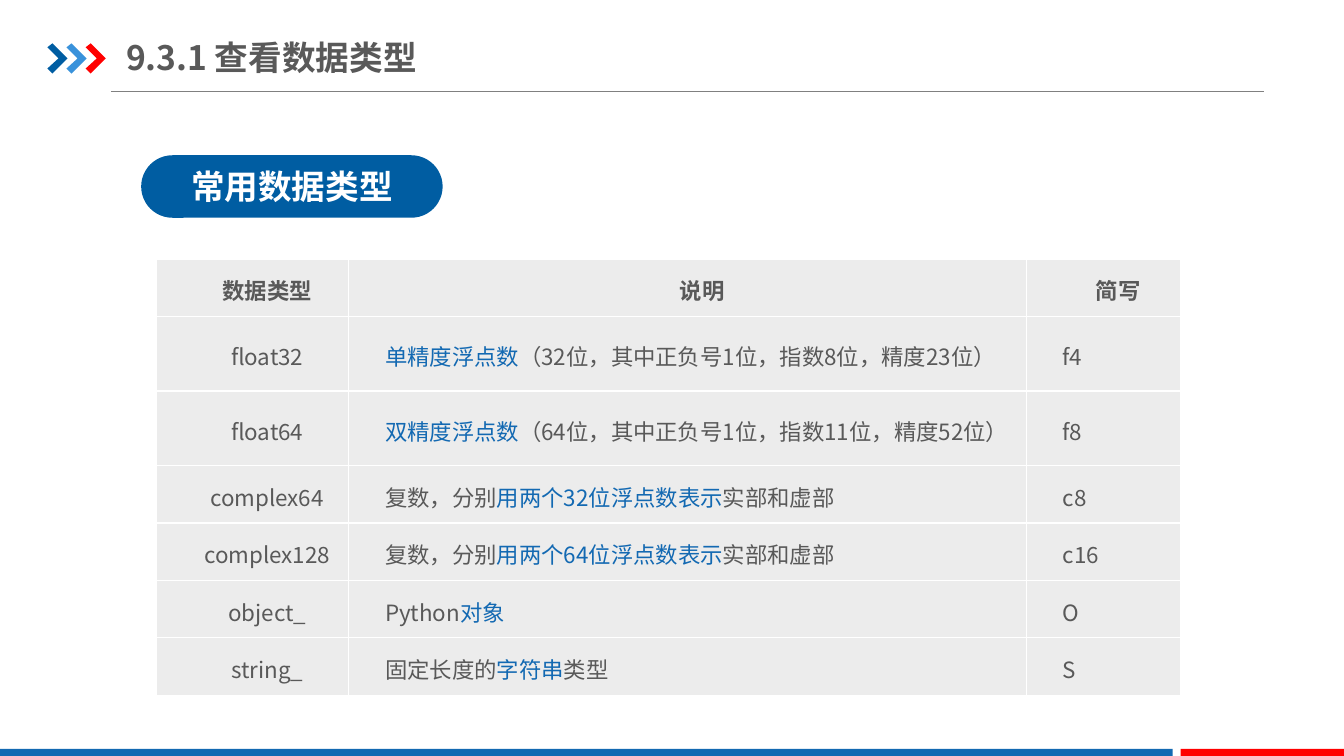
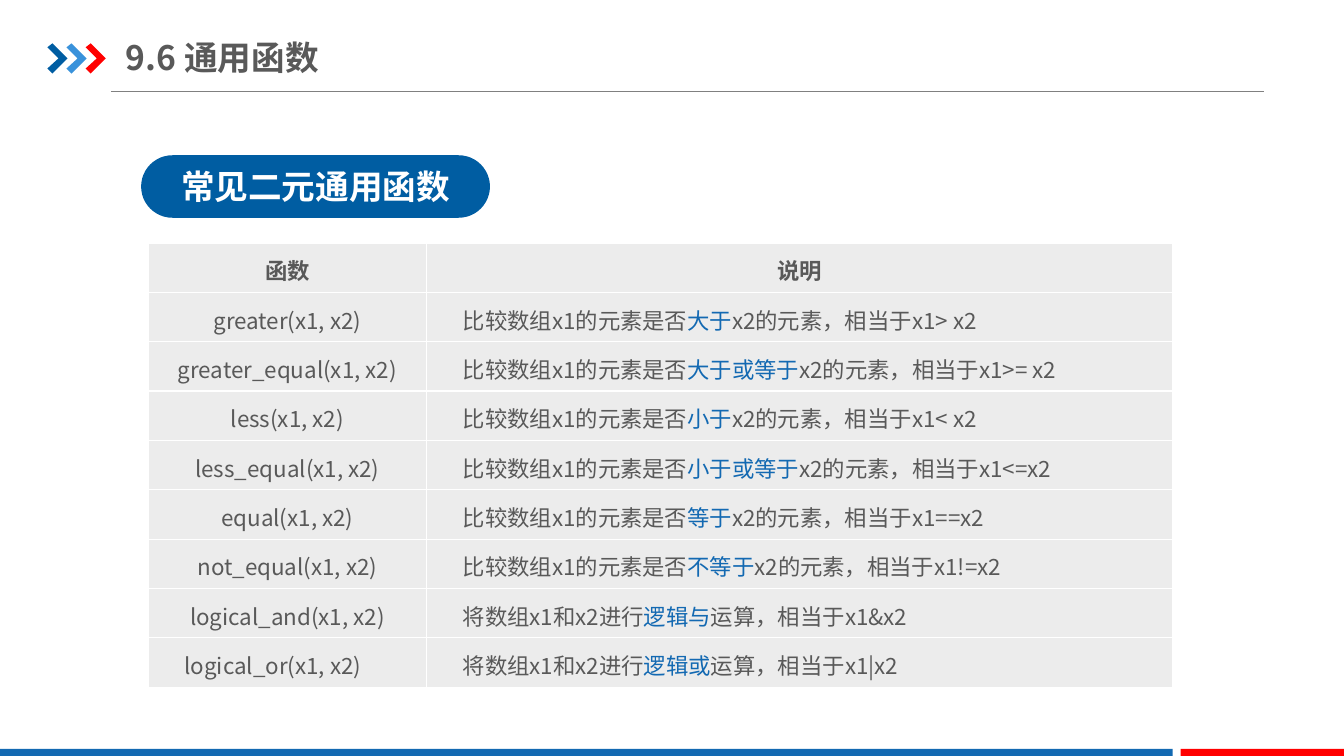
"""Build two slides on data types and universal functions, each with a title, a pill heading and a table."""
import lxml.etree
import pptx
import pptx.dml.color
import pptx.enum.shapes
import pptx.enum.text
import pptx.oxml
import pptx.oxml.ns
import pptx.util

COLOURS = {
    "text": "595959", "highlight": "1369B2", "navy": "005DA2", "sky": "3992DB",
    "red": "FF0000", "rule": "808080", "cell": "ECECEC", "white": "FFFFFF",
}
FONT = "Noto Sans CJK SC"
WIDTH, HEIGHT = 13.33, 7.5
MARK = "~"

HEADING = {"size": pptx.util.Pt(24), "bold": True}
HEADER_CELL = {"size": pptx.util.Pt(16), "bold": True}
BODY_CELL = {"size": pptx.util.Pt(16), "bold": False}
INDENT = 0.29

CHEVRON = [(0, 0.04), (0.05, 0), (0.2, 0.15), (0.05, 0.3), (0, 0.25), (0.11, 0.15)]
CHEVRON_COLOURS = ["navy", "sky", "red"]
CHEVRON_LEFT, CHEVRON_TOP, CHEVRON_STEP = 0.47, 0.43, 0.19
BANDS = [(0, 11.63, "highlight"), (11.71, WIDTH, "red")]
BAND_TOP = 7.43

COMPARISONS = [
    ("greater", "大于", "> "),
    ("greater_equal", "大于或等于", ">= "),
    ("less", "小于", "< "),
    ("less_equal", "小于或等于", "<="),
    ("equal", "等于", "=="),
    ("not_equal", "不等于", "!="),
]
LOGIC = [("logical_and", "逻辑与", "&"), ("logical_or", "逻辑或", "|")]

SLIDES = [
    {
        "title": "9.3.1 查看数据类型",
        "title_width": 4.55,
        "pill": "常用数据类型",
        "pill_width": 2.99,
        "table_at": (1.55, 2.57),
        "columns": [1.91, 6.72, 1.53],
        "row_heights": [0.57] + [0.74] * 2 + [0.57] * 4,
        "centred_rows": 7,
        "centred_indent": INDENT,
        "rows": [
            ("数据类型", "说明", "简写"),
            ("float32", "~单精度浮点数~（32位，其中正负号1位，指数8位，精度23位）", "f4"),
            ("float64", "~双精度浮点数~（64位，其中正负号1位，指数11位，精度52位）", "f8"),
            ("complex64", "复数，分别~用两个32位浮点数表示~实部和虚部", "c8"),
            ("complex128", "复数，分别~用两个64位浮点数表示~实部和虚部", "c16"),
            ("object_", "Python~对象~", "O"),
            ("string_", "固定长度的~字符串~类型", "S"),
        ],
    },
    {
        "title": "9.6 通用函数",
        "title_width": 5.57,
        "pill": "常见二元通用函数",
        "pill_width": 3.46,
        "table_at": (1.47, 2.41),
        "columns": [2.76, 7.4],
        "row_heights": [0.49] * 9,
        "centred_rows": 8,
        "centred_indent": 0,
        "rows": [("函数", "说明")]
        + [(f"{name}(x1, x2)", f"比较数组x1的元素是否~{relation}~x2的元素，相当于x1{sign}x2")
           for name, relation, sign in COMPARISONS]
        + [(f"{name}(x1, x2)", f"将数组x1和x2进行~{operation}~运算，相当于x1{sign}x2")
           for name, operation, sign in LOGIC],
    },
]


def inches(*lengths):
    return [pptx.util.Inches(length) for length in lengths]


def rgb(name):
    return pptx.dml.color.RGBColor.from_string(COLOURS[name])


def set_attributes(target, values):
    for name, value in values.items():
        setattr(target, name, value)


def paint(shape, colour):
    shape.shadow.inherit = False
    shape.fill.solid()
    shape.fill.fore_color.rgb = rgb(colour)
    shape.line.fill.background()


def add_runs(paragraph, text, colour, font_format):
    for index, part in enumerate(text.split(MARK)):
        if not part:
            continue
        run = paragraph.add_run()
        run.text = part
        set_attributes(run.font, {"name": FONT, **font_format})
        run.font.color.rgb = rgb("highlight" if index % 2 else colour)
        latin = run.font._element.find(pptx.oxml.ns.qn("a:latin"))
        east_asian = lxml.etree.Element(pptx.oxml.ns.qn("a:ea"), typeface=FONT)
        latin.addnext(east_asian)


def add_frame(slide):
    for index, colour in enumerate(CHEVRON_COLOURS):
        left = CHEVRON_LEFT + index * CHEVRON_STEP
        points = [inches(left + x, CHEVRON_TOP + y) for x, y in CHEVRON]
        builder = slide.shapes.build_freeform(*points[0])
        builder.add_line_segments(points[1:], close=True)
        paint(builder.convert_to_shape(), colour)
    rule = slide.shapes.add_connector(
        pptx.enum.shapes.MSO_CONNECTOR.STRAIGHT, *inches(1.1, 0.91, 12.54, 0.91))
    rule.line.color.rgb = rgb("rule")
    rule.line.width = pptx.util.Pt(0.75)
    lxml.etree.SubElement(rule._element.spPr, pptx.oxml.ns.qn("a:effectLst"))
    for left, right, colour in BANDS:
        band = slide.shapes.add_shape(
            pptx.enum.shapes.MSO_SHAPE.RECTANGLE,
            *inches(left, BAND_TOP, right - left, HEIGHT - BAND_TOP))
        paint(band, colour)


def add_title(slide, text, width):
    frame = slide.shapes.add_textbox(*inches(1.25, 0.29, width, 0.55)).text_frame
    set_attributes(frame, {
        "word_wrap": True, "vertical_anchor": pptx.enum.text.MSO_ANCHOR.MIDDLE,
        "margin_left": 0, "margin_right": 0,
        "margin_top": pptx.util.Inches(0.07), "margin_bottom": pptx.util.Inches(0.07),
    })
    add_runs(frame.paragraphs[0], text, "text", HEADING)


def add_pill(slide, text, width):
    pill = slide.shapes.add_shape(
        pptx.enum.shapes.MSO_SHAPE.ROUNDED_RECTANGLE, *inches(1.4, 1.54, width, 0.62))
    pill.adjustments[0] = 0.5
    paint(pill, "navy")
    pill.text_frame.vertical_anchor = pptx.enum.text.MSO_ANCHOR.MIDDLE
    paragraph = pill.text_frame.paragraphs[0]
    paragraph.alignment = pptx.enum.text.PP_ALIGN.CENTER
    add_runs(paragraph, text, "white", HEADING)


def format_cell(cell):
    set_attributes(cell, {
        "vertical_anchor": pptx.enum.text.MSO_ANCHOR.MIDDLE,
        "margin_left": pptx.util.Inches(0.07), "margin_right": pptx.util.Inches(0.07),
        "margin_top": 0, "margin_bottom": 0,
    })
    cell.fill.solid()
    cell.fill.fore_color.rgb = rgb("cell")
    properties = cell._tc.get_or_add_tcPr()
    for index, side in enumerate(["lnL", "lnR", "lnT", "lnB"]):
        properties.insert(index, pptx.oxml.parse_xml(
            f'<a:{side} {pptx.oxml.ns.nsdecls("a")} w="{pptx.util.Pt(1)}"><a:solidFill>'
            f'<a:srgbClr val="{COLOURS["white"]}"/></a:solidFill></a:{side}>'))


def add_grid(slide, content):
    rows, columns, heights = content["rows"], content["columns"], content["row_heights"]
    table = slide.shapes.add_table(
        len(rows), len(columns),
        *inches(*content["table_at"], sum(columns), sum(heights))).table
    set_attributes(table, {"first_row": False, "horz_banding": False})
    for column, width in zip(table.columns, columns):
        column.width = pptx.util.Inches(width)
    for table_row, height in zip(table.rows, heights):
        table_row.height = pptx.util.Inches(height)
    alignment = pptx.enum.text.PP_ALIGN
    for row_index, row in enumerate(rows):
        for column_index, text in enumerate(row):
            cell = table.cell(row_index, column_index)
            format_cell(cell)
            is_header = row_index == 0
            centred = is_header or (column_index == 0 and row_index < content["centred_rows"])
            paragraph = cell.text_frame.paragraphs[0]
            set_attributes(paragraph, {
                "alignment": alignment.CENTER if centred else alignment.LEFT,
                "line_spacing": 1.15,
            })
            indent = content["centred_indent"] if centred else INDENT
            paragraph_properties = paragraph._p.get_or_add_pPr()
            paragraph_properties.set("marL", "0")
            paragraph_properties.set("indent", str(pptx.util.Inches(indent)))
            add_runs(paragraph, text, "text", HEADER_CELL if is_header else BODY_CELL)


def main():
    presentation = pptx.Presentation()
    presentation.slide_width, presentation.slide_height = inches(WIDTH, HEIGHT)
    for content in SLIDES:
        slide = presentation.slides.add_slide(presentation.slide_layouts[6])
        add_frame(slide)
        add_title(slide, content["title"], content["title_width"])
        add_pill(slide, content["pill"], content["pill_width"])
        add_grid(slide, content)
    presentation.save("out.pptx")


if __name__ == "__main__":
    main()
